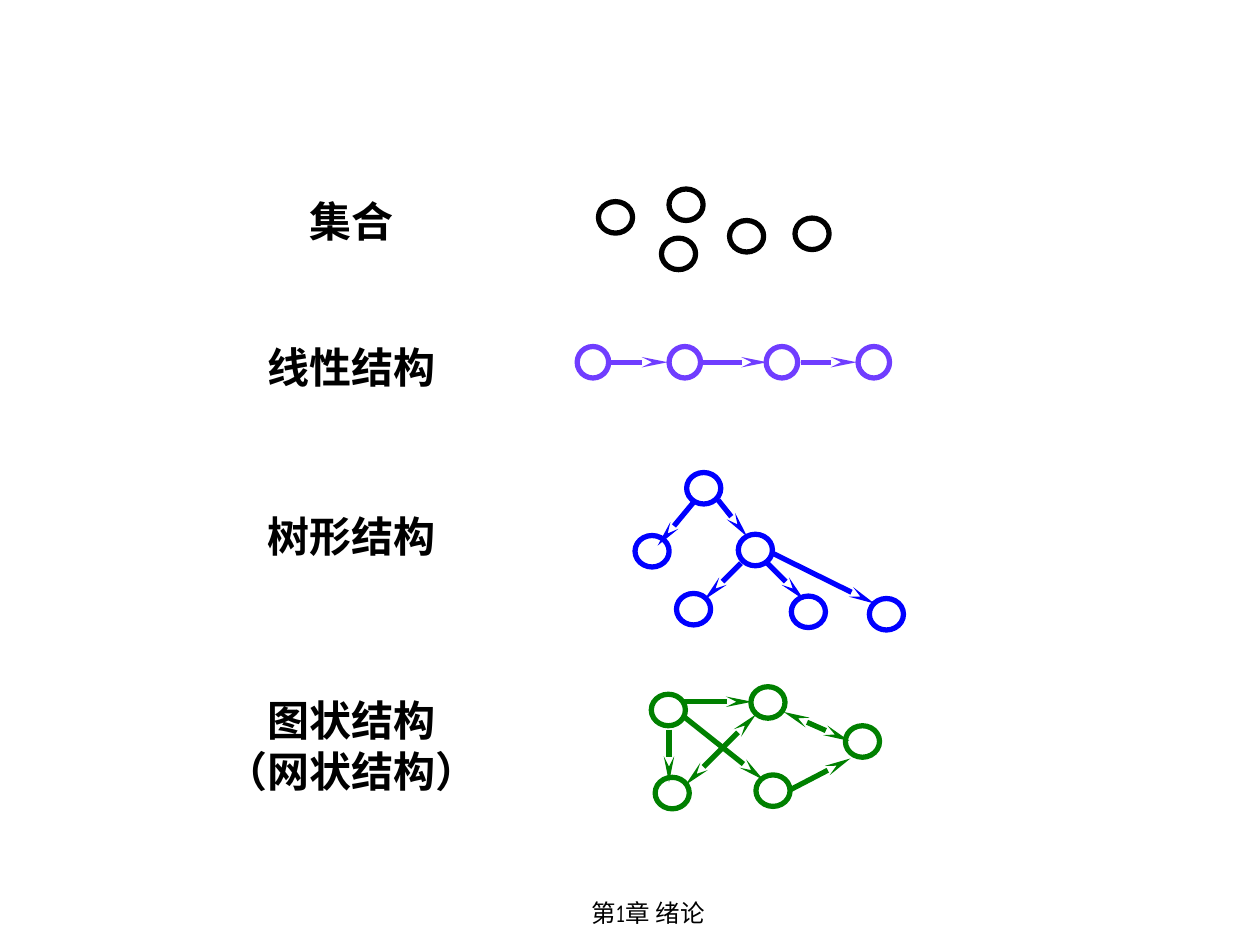
"""Build a slide that compares four basic data structures."""
from dataclasses import dataclass

from lxml.etree import SubElement
from pptx import Presentation
from pptx.dml.color import RGBColor
from pptx.enum.shapes import MSO_CONNECTOR as Connector, MSO_SHAPE as Shape
from pptx.enum.text import MSO_ANCHOR as Anchor, PP_ALIGN as Align
from pptx.oxml.ns import qn
from pptx.util import Pt

COLORS = {"black": "000000", "violet": "703DFF", "blue": "0000FF", "green": "008000"}
LINE_WIDTH = 3
NODE_HEIGHT = 18
LABEL_LEFT, LABEL_WIDTH = 108, 185.8


@dataclass(frozen=True)
class Arrow:
    start: tuple[float, float]
    end: tuple[float, float]
    both_ends: bool = False


@dataclass(frozen=True)
class Structure:
    lines: tuple[str, ...]
    label_top: float
    label_height: float
    color: str
    node_width: float
    nodes: tuple[tuple[float, float], ...]
    arrows: tuple[Arrow, ...] = ()


STRUCTURES = (
    Structure(
        ("集合",), 108, 36, "black", 19.5,
        ((342, 115.2), (382.3, 108), (378, 136.1), (416.9, 126), (454.3, 124.6)),
    ),
    Structure(
        ("线性结构",), 191.5, 36, "violet", 18,
        tuple((left, 198) for left in (329.8, 382.3, 437.8, 490.3)),
        tuple(
            Arrow((start, 207), (end, 207))
            for start, end in ((347.8, 381.6), (399.6, 438.5), (457.9, 489.6))
        ),
    ),
    Structure(
        ("树形结构",), 288, 36, "blue", 19.5,
        ((392.4, 270), (362.9, 306), (421.9, 305.3),
         (386.6, 339.1), (452.2, 340.6), (496.8, 342)),
        (
            Arrow((396.7, 286.6), (375.8, 311.8)),
            Arrow((423.4, 321.8), (402.5, 342.7)),
            Arrow((410.4, 285.8), (427, 306.7)),
            Arrow((437, 320.4), (459.4, 342.7)),
            Arrow((441.4, 316.1), (499.7, 344.9)),
        ),
    ),
    Structure(
        ("图状结构", "（网状结构）"), 383.8, 84.2, "green", 19.5,
        ((429.1, 392.4), (374.4, 444.2), (432, 442.8), (483.1, 414.7), (372.2, 396.7)),
        (
            Arrow((382.3, 416.9), (382.3, 447.1)),
            Arrow((391, 409.7), (436.3, 445.7)),
            Arrow((447.8, 406.8), (485.3, 423.4), both_ends=True),
            Arrow((432, 408.2), (391.7, 448.6), both_ends=True),
            Arrow((451.4, 451.4), (486, 433.4)),
            Arrow((391, 401), (429.8, 401)),
        ),
    ),
)


def rgb(name: str) -> RGBColor:
    """Return the named colour."""
    return RGBColor.from_string(COLORS[name])


def style_line(line, color: str) -> None:
    """Give an outline its colour and the common width."""
    line.color.rgb = rgb(color)
    line.width = Pt(LINE_WIDTH)


def draw_node(shapes, left: float, top: float, width: float, color: str) -> None:
    """Draw one hollow node."""
    node = shapes.add_shape(Shape.OVAL, Pt(left), Pt(top), Pt(width), Pt(NODE_HEIGHT))
    node.shadow.inherit = False
    node.fill.background()
    style_line(node.line, color)


def draw_arrow(shapes, arrow: Arrow, color: str) -> None:
    """Draw one link with a stealth head at its end, or at both ends."""
    points = [Pt(value) for value in (*arrow.start, *arrow.end)]
    link = shapes.add_connector(Connector.STRAIGHT, *points)
    style_line(link.line, color)
    properties = link.element.spPr
    outline = properties.find(qn("a:ln"))
    for tag in ("a:headEnd", "a:tailEnd") if arrow.both_ends else ("a:tailEnd",):
        SubElement(outline, qn(tag), type="stealth", w="sm", len="lg")
    SubElement(properties, qn("a:effectLst"))


def add_text(shapes, lines: tuple[str, ...], left: float, top: float, width: float,
             height: float, font: str, size: float, bold: bool = False):
    """Add a centred text box with one paragraph a line and return its frame."""
    box = shapes.add_textbox(Pt(left), Pt(top), Pt(width), Pt(height))
    frame = box.text_frame
    frame.text = "\n".join(lines)
    for para in frame.paragraphs:
        para.alignment = Align.CENTER
        para.font.name = font
        para.font.size = Pt(size)
        para.font.bold = bold
        para.font.color.rgb = rgb("black")
    return frame


def draw_structure(page, structure: Structure) -> None:
    """Draw the nodes, links and label of one structure as a group."""
    shapes = page.shapes.add_group_shape().shapes
    for left, top in structure.nodes:
        draw_node(shapes, left, top, structure.node_width, structure.color)
    for arrow in structure.arrows:
        draw_arrow(shapes, arrow, structure.color)
    frame = add_text(shapes, structure.lines, LABEL_LEFT, structure.label_top,
                     LABEL_WIDTH, structure.label_height, "Karla", 24, bold=True)
    frame.word_wrap = False
    frame.vertical_anchor = Anchor.MIDDLE


def main() -> None:
    """Build and save the deck."""
    deck = Presentation()
    deck.slide_width, deck.slide_height = Pt(720), Pt(540)
    page = deck.slides.add_slide(deck.slide_layouts[6])
    footer = add_text(page.shapes, ("第1章 绪论",), 256.3, 509.8, 228.2, 36,
                      "Comic Neue", 14)
    footer.word_wrap = True
    for structure in STRUCTURES:
        draw_structure(page, structure)
    deck.save("out.pptx")


if __name__ == "__main__":
    main()
